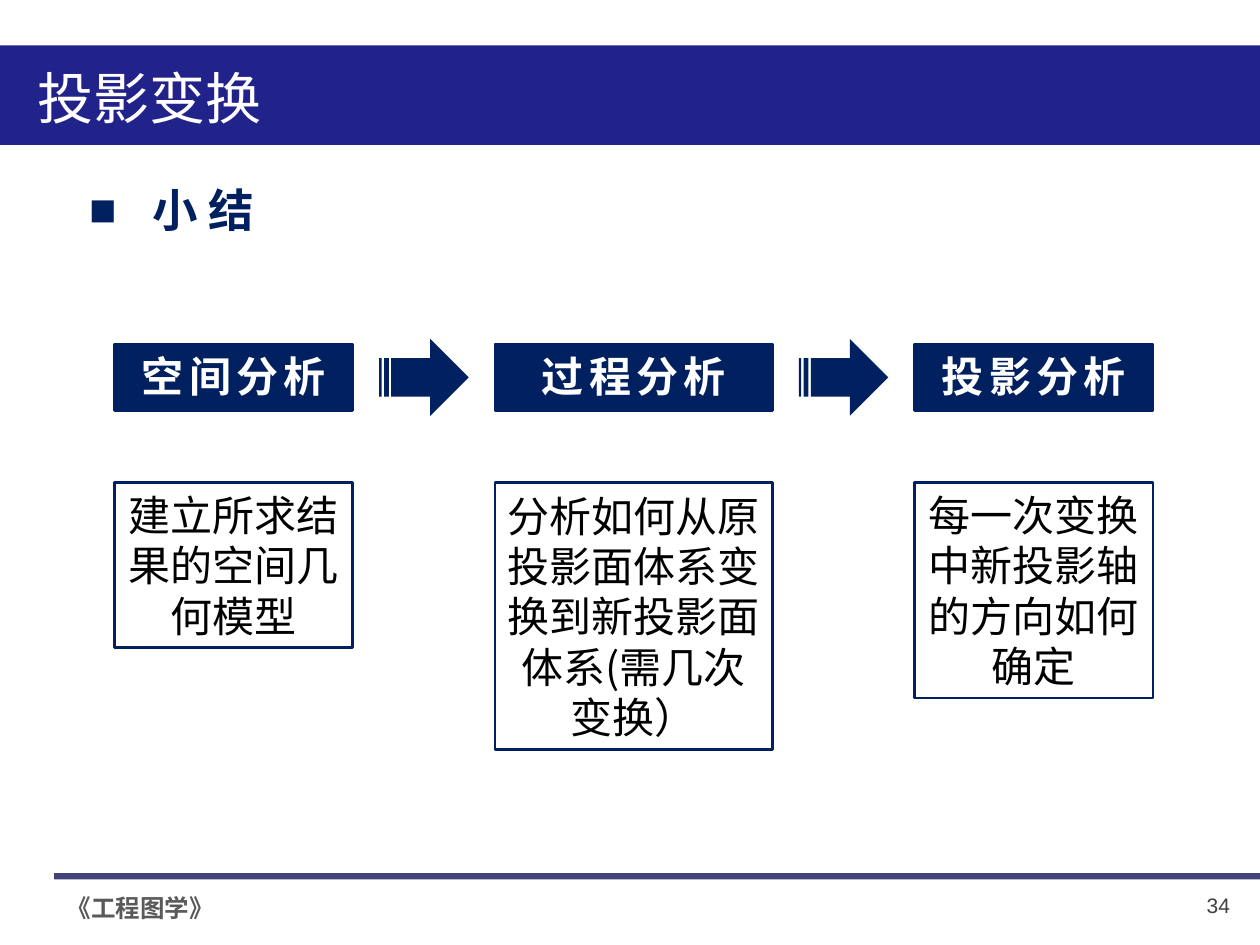
from dataclasses import dataclass

from lxml import etree
from pptx import Presentation
from pptx import util as u
from pptx.dml.color import RGBColor
from pptx.enum import shapes, text
from pptx.oxml.ns import qn


@dataclass(frozen=True)
class Theme:
    banner: str = "22228B"
    rule: str = "17175C"
    navy: str = "002060"
    white: str = "FFFFFF"
    black: str = "000000"
    footer: str = "595959"
    number: str = "404040"
    cjk: str = "Noto Sans CJK SC"
    latin: str = "Arial"
    title_size: int = 32
    heading_size: int = 26
    step_size: int = 24
    footer_size: int = 14
    number_size: int = 12


class SlideBuilder:
    def __init__(self, slide, theme):
        self.slide = slide
        self.theme = theme

    def add_words(self, shape, words, size, color, font=None, bold=False,
                  align=text.PP_ALIGN.LEFT, anchor=text.MSO_ANCHOR.TOP,
                  wrap=False, spacing=0):
        """Put one run in the shape; spacing is letter spacing in points."""
        frame = shape.text_frame
        frame.word_wrap = wrap
        frame.auto_size = text.MSO_AUTO_SIZE.NONE
        frame.vertical_anchor = anchor
        paragraph = frame.paragraphs[0]
        paragraph.alignment = align
        run = paragraph.add_run()
        run.text = words
        run.font.name = font or self.theme.cjk
        run.font.size = u.Pt(size)
        run.font.bold = bold
        run.font.color.rgb = RGBColor.from_string(color)
        properties = run._r.get_or_add_rPr()
        etree.SubElement(properties, qn("a:ea"), typeface=self.theme.cjk)
        if spacing:
            properties.set("spc", str(spacing * 100))
        return paragraph

    def title(self, words, box):
        title = self.slide.shapes.title
        title.left, title.top, title.width, title.height = map(u.Inches, box)
        self.add_words(title, words, self.theme.title_size, self.theme.white)
        # Bring the title in front of the banner
        title.element.getparent().append(title.element)

    def label(self, words, box, size, color, **style):
        label = self.slide.shapes.add_textbox(*map(u.Inches, box))
        return self.add_words(label, words, size, color, **style)

    def heading(self, words, box):
        paragraph = self.label(words, box, self.theme.heading_size,
                               self.theme.navy, bold=True)
        properties = paragraph._p.get_or_add_pPr()
        properties.set("marL", str(u.Inches(0.5)))
        properties.set("indent", str(-u.Inches(0.5)))
        etree.SubElement(properties, qn("a:buFont"), typeface=self.theme.latin)
        etree.SubElement(properties, qn("a:buChar"), char="■")
        paragraph.line_spacing = 1.2

    def block(self, box, fill=None, line=None, opacity=None,
              kind=shapes.MSO_SHAPE.RECTANGLE):
        """Draw a preset shape; opacity is a percentage."""
        block = self.slide.shapes.add_shape(kind, *map(u.Inches, box))
        block.shadow.inherit = False
        if fill:
            block.fill.solid()
            block.fill.fore_color.rgb = RGBColor.from_string(fill)
        else:
            block.fill.background()
        if line:
            block.line.color.rgb = RGBColor.from_string(line)
            block.line.width = u.Pt(1.5)
        else:
            block.line.fill.background()
        if opacity:
            color = block.element.spPr.find(".//" + qn("a:srgbClr"))
            etree.SubElement(color, qn("a:alpha"), val=str(opacity * 1000))
        return block

    def step(self, name, detail, left, width, detail_height):
        theme = self.theme
        centred = dict(align=text.PP_ALIGN.CENTER,
                       anchor=text.MSO_ANCHOR.MIDDLE, wrap=True)
        header = self.block((left, 2.73, width, 0.53), theme.navy, theme.navy)
        header.text_frame.margin_bottom = u.Inches(0.07)
        self.add_words(header, name, theme.step_size, theme.white, bold=True,
                       spacing=3, **centred)
        body = self.block((left, 3.83, width, detail_height), line=theme.navy)
        self.add_words(body, detail, theme.step_size, theme.black, **centred)

    def arrow(self, left, width):
        self.block((left, 2.69, width, 0.61), self.theme.navy,
                   kind=shapes.MSO_SHAPE.STRIPED_RIGHT_ARROW)


STEPS = [
    ("空间分析", "建立所求结果的空间几何模型", 1.89, 1.31),
    ("过程分析", "分析如何从原投影面体系变换到新投影面体系(需几次变换）", 2.2, 2.12),
    ("投影分析", "每一次变换中新投影轴的方向如何确定", 1.89, 1.71),
]
FLOW_LEFT, ARROW_WIDTH, GAP = 0.91, 0.71, 0.21


def main():
    deck = Presentation()
    deck.slide_width, deck.slide_height = u.Inches(10), u.Inches(7.5)
    theme = Theme()
    title_only = deck.slide_layouts[5]
    builder = SlideBuilder(deck.slides.add_slide(title_only), theme)

    builder.block((0, 0.36, 10, 0.79), theme.banner)
    builder.block((0.43, 6.93, 9.57, 0.05), theme.rule, opacity=81)
    builder.label("《工程图学》", (0.43, 7.04, 1.38, 0.34), theme.footer_size,
                  theme.footer, font=theme.latin, bold=True)
    builder.label("34", (9.47, 7.03, 0.39, 0.3), theme.number_size,
                  theme.number, font=theme.latin, align=text.PP_ALIGN.RIGHT,
                  anchor=text.MSO_ANCHOR.MIDDLE)
    builder.title("投影变换", (0.2, 0.45, 2, 0.64))
    builder.heading("小 结", (0.61, 1.31, 1.54, 0.58))

    left = FLOW_LEFT
    for index, (name, detail, width, detail_height) in enumerate(STEPS):
        if index:
            builder.arrow(left + GAP, ARROW_WIDTH)
            left += ARROW_WIDTH + 2 * GAP
        builder.step(name, detail, left, width, detail_height)
        left += width

    deck.save("out.pptx")


if __name__ == "__main__":
    main()
